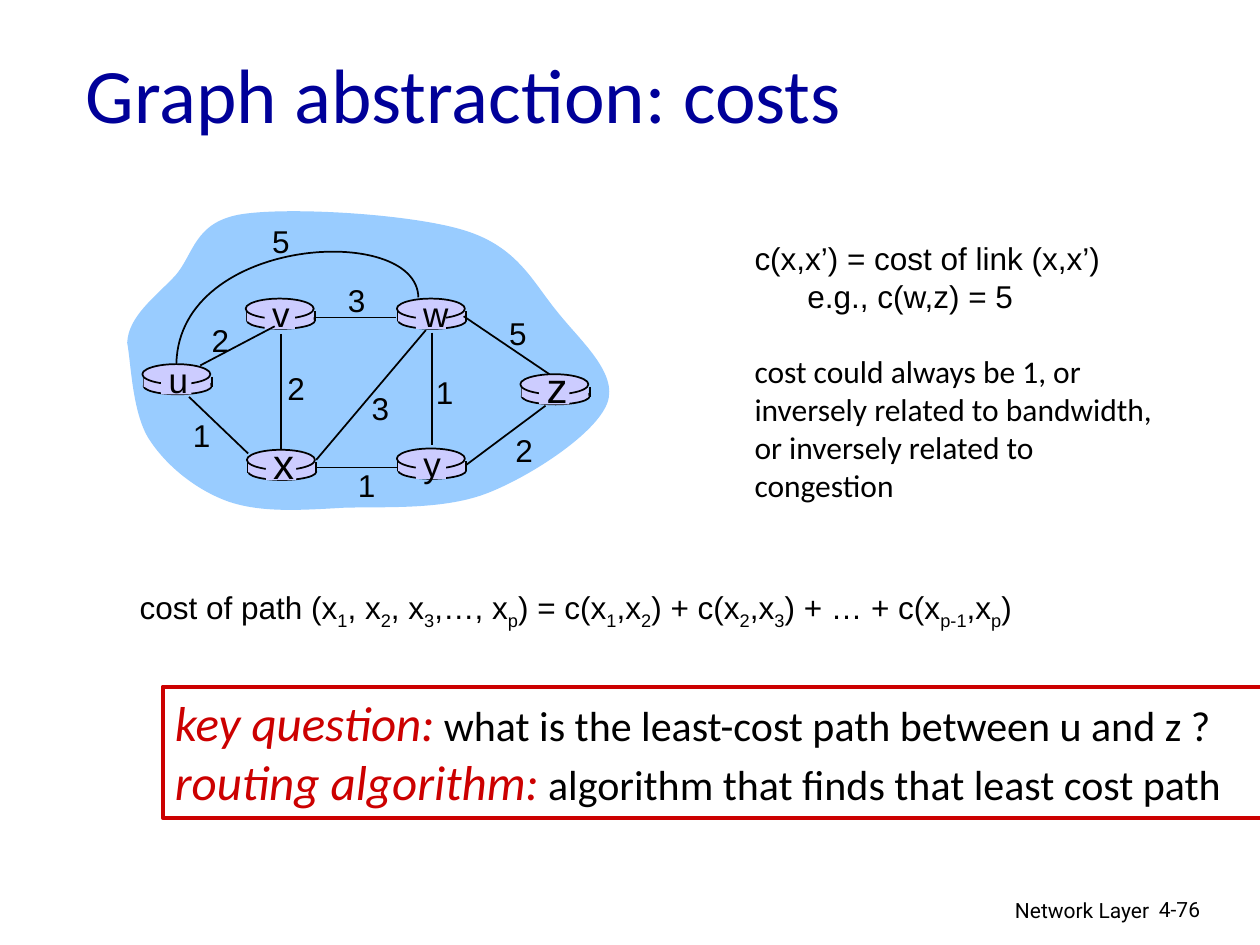
from lxml.etree import SubElement
from pptx import Presentation
from pptx.dml.color import RGBColor
from pptx.enum.shapes import MSO_CONNECTOR as Connector, MSO_SHAPE as Shape
from pptx.enum.text import MSO_ANCHOR as Anchor, PP_ALIGN as Align
from pptx.oxml.ns import qn
from pptx.util import Inches, Pt

BLACK, NAVY, RED, SKY, LILAC = "000000", "000099", "CC0000", "99CCFF", "CCCCFF"
ARIAL = {"name": "Arial", "size": Pt(18)}
CALIBRI = {"name": "Calibri", "size": Pt(18)}
ROBOTO = {"name": "Roboto", "size": Pt(12)}
TERM = {"name": "Calibri", "size": Pt(28), "italic": True, "color": RED}
MEANING = {"name": "Calibri", "size": Pt(24), "italic": False}

CLOUD = [(0, 1.08), (0.01, 0.87), (0.22, 0.72), (0.38, 0.55),
         (0.53, 0.38), (0.53, 0.12), (0.91, 0.06), (1.3, 0), (2.27, 0.06), (2.68, 0.19),
         (3.1, 0.32), (3.22, 0.6), (3.41, 0.83), (3.59, 1.06), (3.9, 1.32), (3.81, 1.56),
         (3.72, 1.8), (3.22, 2.13), (2.87, 2.27), (2.52, 2.41), (2.06, 2.38), (1.72, 2.39),
         (1.37, 2.41), (1.06, 2.43), (0.8, 2.34), (0.55, 2.25), (0.31, 2.06), (0.17, 1.84),
         (0.04, 1.63), (0.03, 1.24), (0, 1.08)]
U_W_ARC = [(2.31, 0.72), (2.3, 0.13), (0.42, 0.23), (0.39, 1.24)]
U_W_COST = ("5", 1.22, 0.27)
ROUTERS = [("u", 0.12, 1.25, 20), ("x", 0.95, 1.93, 24), ("v", 0.94, 0.73, 20),
           ("w", 2.14, 0.73, 20), ("y", 2.14, 1.92, 20), ("z", 3.12, 1.33, 24)]
LINKS = [((0.58, 1.26), (1.17, 0.95), ("2", 0.74, 1.06)),
         ((1.22, 1.01), (1.22, 1.93), ("2", 1.34, 1.44)),
         ((0.96, 1.96), (0.49, 1.51), ("1", 0.59, 1.81)),
         ((1.5, 2.01), (2.37, 0.98), ("3", 2.01, 1.6)),
         ((2.14, 2.07), (1.51, 2.07), ("1", 1.9, 2.21)),
         ((2.42, 1), (2.42, 1.89), ("1", 2.52, 1.47)),
         ((2.69, 2.05), (3.32, 1.58), ("2", 3.15, 1.93)),
         ((3.35, 1.33), (2.67, 0.87), ("5", 3.1, 1)),
         ((2.13, 0.88), (1.5, 0.88), ("3", 1.82, 0.74))]
PATH_COST = [("cost of path (x", "1"), (", x", "2"), (", x", "3"), (",…, x", "p"),
             (") = c(x", "1"), (",x", "2"), (") + c(x", "2"), (",x", "3"),
             (") + … + c(x", "p-1"), (",x", "p"), (")", "")]


def rgb(code):
    """Turn a hex string into a colour."""
    return RGBColor.from_string(code)


def add_run(paragraph, text, style):
    """Add a run of text with the given font values."""
    run = paragraph.add_run()
    run.text = text
    for attribute, value in {"color": BLACK, **style}.items():
        if attribute == "color":
            run.font.color.rgb = rgb(value)
        else:
            setattr(run.font, attribute, value)
    return run


def add_text(shapes, box, lines, align=Align.LEFT, wrap=True):
    """Place a text box holding lines of (text, style) runs."""
    frame = shapes.add_textbox(*map(Inches, box)).text_frame
    fill_frame(frame, lines, align, wrap)
    return frame


def fill_frame(frame, lines, align=Align.LEFT, wrap=True):
    """Write one paragraph per line into a text frame."""
    frame.word_wrap = wrap
    for index, runs in enumerate(lines):
        paragraph = frame.add_paragraph() if index else frame.paragraphs[0]
        paragraph.alignment = align
        for text, style in runs:
            add_run(paragraph, text, style)


def add_label(shapes, text, x, y, size=18):
    """Place a short label centred on a point."""
    width, height = 0.34, size / 60 + 0.1
    box = (x - width / 2, y - height / 2, width, height)
    add_text(shapes, box, [[(text, {"name": "Arial", "size": Pt(size)})]], Align.CENTER, False)


def paint(shape, fill=None, line=None, weight=1):
    """Set the fill and outline of a shape and drop its shadow."""
    shape.shadow.inherit = False
    if fill:
        shape.fill.solid()
        shape.fill.fore_color.rgb = rgb(fill)
    else:
        shape.fill.background()
    if line:
        shape.line.color.rgb = rgb(line)
        shape.line.width = Pt(weight)
    else:
        shape.line.fill.background()


def add_line(shapes, start, end):
    """Draw a thin black straight line."""
    line = shapes.add_connector(Connector.STRAIGHT, *map(Inches, (*start, *end)))
    line.line.color.rgb = rgb(BLACK)
    line.line.width = Pt(1)
    SubElement(line._element.spPr, qn("a:effectLst"))


def add_curve(shapes, points, closed=False, **colours):
    """Draw cubic curves through a start point and triples of points."""
    start, *rest = [(Inches(x), Inches(y)) for x, y in points]
    builder = shapes.build_freeform(*start)
    builder.add_line_segments(rest, close=closed)
    curve = builder.convert_to_shape()
    segments = list(curve._element.iter(qn("a:lnTo")))
    for first, second, third in zip(*[iter(segments)] * 3):
        first.tag = qn("a:cubicBezTo")
        for other in (second, third):
            first.append(other[0])
            other.getparent().remove(other)
    paint(curve, **colours)


def add_router(shapes, x, y, name, size):
    """Draw a router disc with its name, from its top left corner."""
    def part(kind, left, top, width, height, line=None):
        disc = shapes.add_shape(kind, *map(Inches, (x + left, y + top, width, height)))
        paint(disc, LILAC, line)

    part(Shape.OVAL, 0.01, 0.11, 0.54, 0.13, BLACK)
    for side in (0.01, 0.55):
        add_line(shapes, (x + side, y + 0.1), (x + side, y + 0.18))
    part(Shape.RECTANGLE, 0.01, 0.1, 0.53, 0.08)
    part(Shape.OVAL, 0, 0, 0.54, 0.16, BLACK)
    part(Shape.RECTANGLE, 0.15, 0.02, 0.24, 0.22)
    add_label(shapes, name, x + 0.28, y + (0.12 if size == 20 else 0.1), size)


def add_graph(slide, left, top):
    """Draw the network cloud with routers, links and link costs."""
    shapes = slide.shapes.add_group_shape().shapes

    def place(point):
        return left + point[0], top + point[1]

    add_curve(shapes, map(place, CLOUD), closed=True, fill=SKY)
    for name, x, y, size in ROUTERS:
        add_router(shapes, *place((x, y)), name, size)
    for start, end, _ in LINKS:
        add_line(shapes, place(start), place(end))
    add_curve(shapes, map(place, U_W_ARC), line=BLACK)
    for cost, x, y in [link[2] for link in LINKS] + [U_W_COST]:
        add_label(shapes, cost, *place((x, y)))


def add_title(slide, box):
    """Move the title placeholder and write the heading."""
    title = slide.shapes.title
    title.left, title.top, title.width, title.height = map(Inches, box)
    title.text_frame.vertical_anchor = Anchor.MIDDLE
    heading = {"name": "Calibri", "size": Pt(44), "color": NAVY}
    fill_frame(title.text_frame, [[("Graph abstraction: costs", heading)]])


def add_cost_notes(slide, box):
    """Explain what a link cost means."""
    lines = [("c(x,x’) = cost of link (x,x’)", ARIAL), ("e.g., c(w,z) = 5", ARIAL),
             ("cost could always be 1, or", CALIBRI),
             ("inversely related to bandwidth,", CALIBRI),
             ("or inversely related to", CALIBRI), ("congestion", CALIBRI)]
    frame = add_text(slide.shapes, box, [[line] for line in lines])
    _, example, choice, *_ = frame.paragraphs
    example._p.get_or_add_pPr().set("marL", str(Inches(0.42)))
    choice.space_before = Pt(21.5)


def add_path_cost(slide, box):
    """Write the path cost formula with subscripts."""
    paragraph = add_text(slide.shapes, box, [[]]).paragraphs[0]
    for term, index in PATH_COST:
        add_run(paragraph, term, ARIAL)
        if index:
            add_run(paragraph, index, ARIAL)._r.get_or_add_rPr().set("baseline", "-25000")


def add_key_question(slide, box):
    """Frame the key question and the routing algorithm in red."""
    frame = slide.shapes.add_shape(Shape.RECTANGLE, *map(Inches, box))
    paint(frame, line=RED, weight=2.25)
    frame.text_frame.vertical_anchor = Anchor.TOP
    fill_frame(frame.text_frame, [
        [("key question:", TERM), (" what is the least-cost path between u and z ?", MEANING)],
        [("routing algorithm:", TERM), (" algorithm that finds that least cost path", MEANING)]])


def add_footer(slide, left, top):
    """Write the chapter name and page number."""
    add_text(slide.shapes, (left, top, 3.17, 0.31), [[("Network Layer", ROBOTO)]], Align.RIGHT)
    add_text(slide.shapes, (left + 3.05, top, 0.74, 0.3), [[("4-76", ROBOTO)]])


def main():
    """Build and save the slide."""
    deck = Presentation()
    deck.slide_width, deck.slide_height = Inches(10), Inches(7.5)
    slide = deck.slides.add_slide(deck.slide_layouts[5])
    add_footer(slide, 6.05, 7.07)
    add_title(slide, (0.58, 0.24, 8.5, 0.99))
    add_graph(slide, 1.01, 1.64)
    add_cost_notes(slide, (5.89, 1.85, 3.84, 2.2))
    add_path_cost(slide, (1.01, 4.62, 7.26, 0.44))
    add_key_question(slide, (1.29, 5.45, 9.68, 1.04))
    deck.save("out.pptx")


if __name__ == "__main__":
    main()
